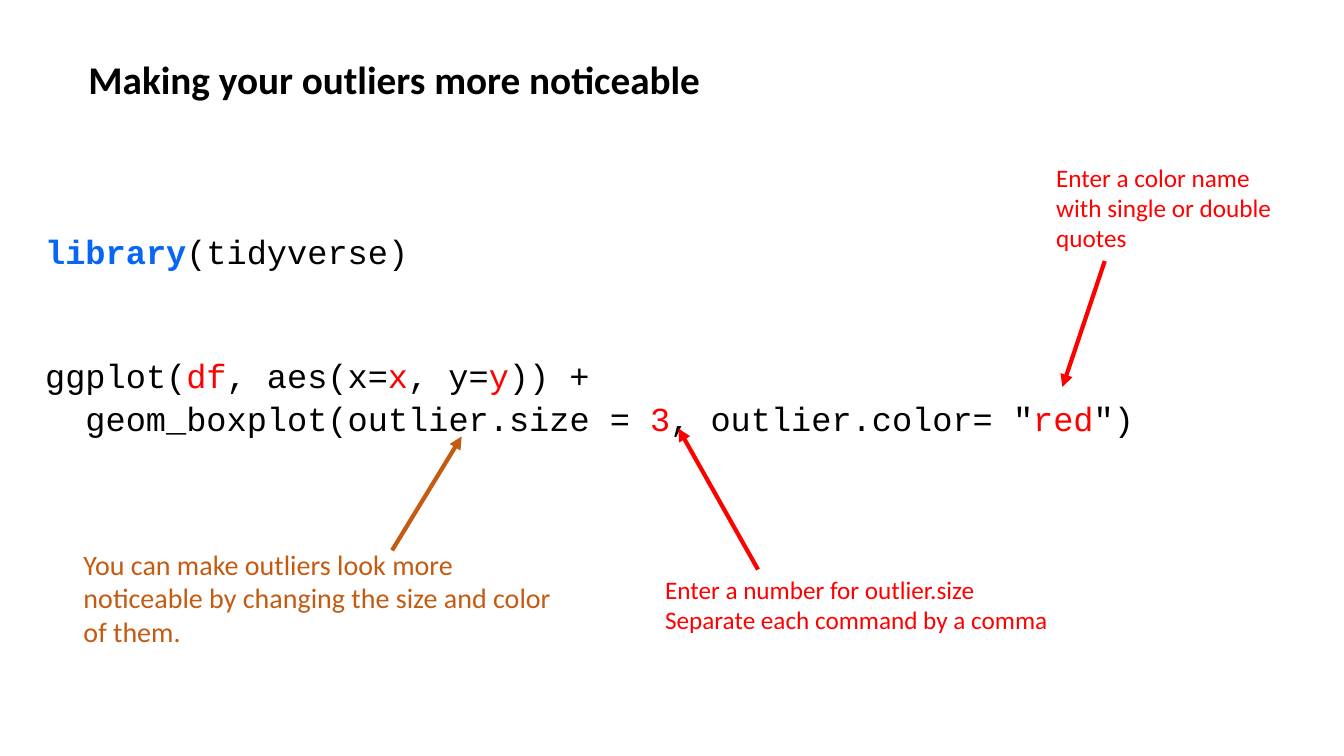
"""Build a slide that explains how to style outliers in a box plot."""
import dataclasses
import typing

import pptx
import pptx.dml.color
import pptx.enum.shapes
import pptx.enum.text
import pptx.oxml
import pptx.oxml.ns
import pptx.util

COLS, ROWS = 133.33, 75
CELL = pptx.util.Inches(0.1)
TONES = {"ink": "000000", "blue": "0766F5", "red": "FF0000", "rust": "C55A11"}


@dataclasses.dataclass
class Run:
    """A stretch of text in one colour."""
    text: str
    tone: str = "ink"
    bold: bool = False


@dataclasses.dataclass
class Line:
    """A paragraph with its format and its indent in columns."""
    runs: list[Run]
    style: dict[str, typing.Any] = dataclasses.field(default_factory=dict)
    inset: float = 0


@dataclasses.dataclass
class Note:
    """A text box placed by columns and rows."""
    col: float
    row: float
    wide: float
    high: float
    size: int
    lines: list[Line]
    font: str = "Calibri"
    wrap: bool = True


@dataclasses.dataclass
class Arrow:
    """An arrow between two grid points."""
    start: tuple[float, float]
    end: tuple[float, float]
    tone: str


LEAD = {"line_spacing": 1.07}
GAP = {"line_spacing": 1.07, "space_before": pptx.util.Pt(58.2)}

NOTES = [
    Note(7.8, 5, 63.4, 5.7, 28,
         [Line([Run("Making your outliers more noticeable", bold=True)])], wrap=False),
    Note(3.5, 22.1, 125.7, 21.2, 24, [
        Line([Run("library", "blue", True), Run("(tidyverse)")], LEAD),
        Line([Run("ggplot("), Run("df", "red"), Run(", aes(x="), Run("x", "red"),
              Run(", y="), Run("y", "red"), Run(")) +")], GAP),
        Line([Run("geom_boxplot(outlier.size = "), Run("3", "red"),
              Run(', outlier.color= "'), Run("red", "red"), Run('")')], LEAD, 4),
    ], "Courier New"),
    Note(65, 56.5, 40.4, 7.1, 18,
         [Line([Run("Enter a number for outlier.size", "red")]),
          Line([Run("Separate each command by a comma", "red")])], wrap=False),
    Note(103.8, 15.6, 25.4, 10.1, 18,
         [Line([Run("Enter a color name with single or double quotes", "red")])]),
    Note(7.3, 53.8, 50.9, 11.1, 20,
         [Line([Run("You can make outliers look more noticeable by changing "
                    "the size and color of them.", "rust")])]),
]

ARROWS = [
    Arrow((75.2, 56.5), (67.3, 42.5), "red"),
    Arrow((109.6, 25.9), (105.4, 38.4), "red"),
    Arrow((38.9, 54.6), (45.8, 43.3), "rust"),
]


def span(cells: float) -> int:
    """Turn grid cells into a length."""
    return round(cells * CELL)


def hue(tone: str) -> pptx.dml.color.RGBColor:
    """Look up a colour by name."""
    return pptx.dml.color.RGBColor.from_string(TONES[tone])


def apply(target: typing.Any, style: dict[str, typing.Any]) -> None:
    """Set each format value on the target."""
    for name, value in style.items():
        setattr(target, name, value)


def write(slide: typing.Any, note: Note) -> None:
    """Draw a text box with its paragraphs."""
    box = slide.shapes.add_textbox(*map(span, (note.col, note.row, note.wide, note.high)))
    frame = box.text_frame
    apply(frame, {"word_wrap": note.wrap,
                  "auto_size": pptx.enum.text.MSO_AUTO_SIZE.SHAPE_TO_FIT_TEXT})
    for rank, line in enumerate(note.lines):
        para = frame.add_paragraph() if rank else frame.paragraphs[0]
        apply(para, line.style)
        if line.inset:
            para._p.get_or_add_pPr().set("marL", str(span(line.inset)))
        for part in line.runs:
            run = para.add_run()
            run.text = part.text
            apply(run.font, {"name": note.font, "size": pptx.util.Pt(note.size),
                             "bold": part.bold})
            run.font.color.rgb = hue(part.tone)


def point(slide: typing.Any, arrow: Arrow) -> None:
    """Draw an arrow with a triangle head."""
    link = slide.shapes.add_connector(
        pptx.enum.shapes.MSO_CONNECTOR.STRAIGHT, *map(span, arrow.start + arrow.end))
    link.line.width = pptx.util.Pt(3)
    link.line.color.rgb = hue(arrow.tone)
    head = pptx.oxml.parse_xml(f'<a:tailEnd {pptx.oxml.ns.nsdecls("a")} type="triangle"/>')
    link.line._get_or_add_ln().append(head)
    flat = pptx.oxml.parse_xml(f'<a:effectLst {pptx.oxml.ns.nsdecls("a")}/>')
    link._element.spPr.append(flat)


def main() -> None:
    """Build and save the slide."""
    deck = pptx.Presentation()
    apply(deck, {"slide_width": span(COLS), "slide_height": span(ROWS)})
    slide = deck.slides.add_slide(deck.slide_layouts[6])
    for note in NOTES:
        write(slide, note)
    for arrow in ARROWS:
        point(slide, arrow)
    deck.save("out.pptx")


if __name__ == "__main__":
    main()
